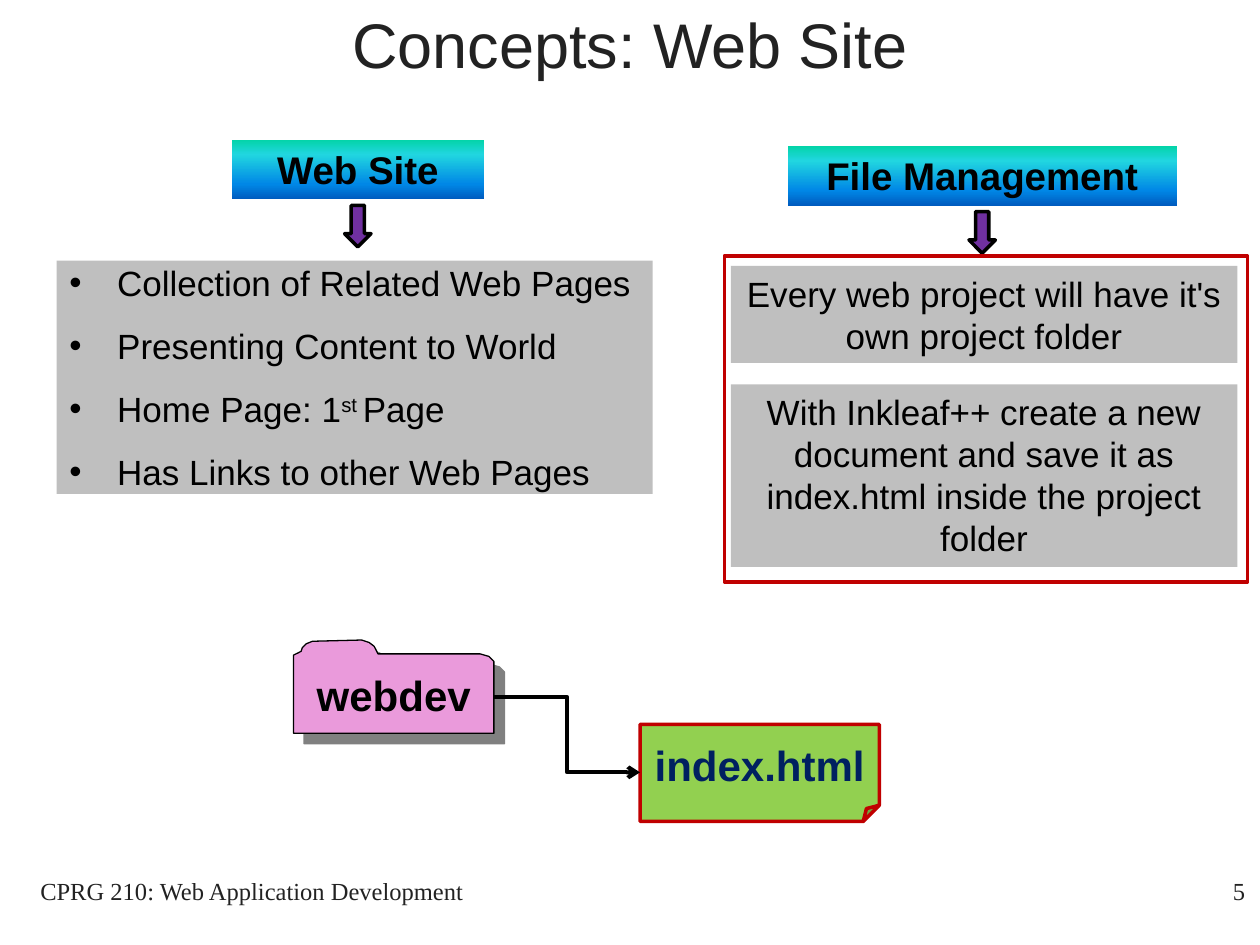
from lxml import etree
from pptx import Presentation
from pptx.dml.color import RGBColor
from pptx.enum.shapes import MSO_CONNECTOR, MSO_SHAPE
from pptx.enum.text import MSO_ANCHOR, MSO_AUTO_SIZE, PP_ALIGN
from pptx.oxml.ns import qn
from pptx.util import Inches, Pt

RECT, DOWN_ARROW, FOLDED = MSO_SHAPE.RECTANGLE, MSO_SHAPE.DOWN_ARROW, MSO_SHAPE.FOLDED_CORNER
ELBOW = MSO_CONNECTOR.ELBOW
TOP, MIDDLE = MSO_ANCHOR.TOP, MSO_ANCHOR.MIDDLE
CENTER, LEFT, RIGHT = PP_ALIGN.CENTER, PP_ALIGN.LEFT, PP_ALIGN.RIGHT
FIT_SHAPE, NO_FIT = MSO_AUTO_SIZE.SHAPE_TO_FIT_TEXT, MSO_AUTO_SIZE.NONE

BLACK, INK, GREY, RED = "000000", "222222", "BFBFBF", "C00000"
HEADING_STOPS = [(0, "03D4A8"), (25, "21D6E0"), (75, "0087E6"), (100, "005CBF")]
FOLDER_OUTLINE = [
    (3.78, 5.19), (3, 5.19), (2.99, 5.17), (2.97, 5.13), (2.93, 5.1), (2.87, 5.08),
    (2.48, 5.09), (2.43, 5.11), (2.4, 5.14), (2.39, 5.17), (2.37, 5.18), (2.33, 5.2),
    (2.33, 5.82), (3.92, 5.82), (3.92, 5.25), (3.88, 5.21), (3.81, 5.19),
]


def rgb(value):
    return RGBColor.from_string(value)


def add_xml(parent, tag, **attributes):
    return etree.SubElement(parent, qn(tag), {key: str(value) for key, value in attributes.items()})


def set_all(target, values):
    for name, value in values.items():
        setattr(target, name, value)


class SlideBuilder:
    font = "Arial"
    line_width = 2

    def __init__(self, slide):
        self.slide = slide

    def place(self, shape, box):
        set_all(shape, dict(zip(("left", "top", "width", "height"), map(Inches, box))))

    def style_run(self, run, size, color=BLACK, bold=False, font=None):
        set_all(run.font, {"size": Pt(size), "bold": bold, "name": font or self.font})
        run.font.color.rgb = rgb(color)

    def set_text(self, shape, text, size, align=CENTER, anchor=TOP, fit=NO_FIT, after=0, **font):
        frame = shape.text_frame
        set_all(frame, {"word_wrap": True, "vertical_anchor": anchor, "auto_size": fit})
        paragraph = frame.paragraphs[0]
        set_all(paragraph, {"alignment": align, "space_after": Pt(after)})
        run = paragraph.add_run()
        run.text = text
        self.style_run(run, size, **font)

    def paint(self, shape, fill=None, line=None, width=None):
        shape.shadow.inherit = False
        if fill:
            shape.fill.solid()
            shape.fill.fore_color.rgb = rgb(fill)
        else:
            shape.fill.background()
        if line:
            shape.line.color.rgb = rgb(line)
            shape.line.width = Pt(width or self.line_width)
        else:
            shape.line.fill.background()

    def title(self, text, box):
        title = self.slide.shapes.title
        self.place(title, box)
        self.set_text(title, text, 36, anchor=MIDDLE, color=INK)

    def bullet_list(self, items, box):
        """Each item is a list of (text, is_superscript) pieces."""
        body = self.slide.placeholders[1]
        self.place(body, box)
        body.fill.solid()
        body.fill.fore_color.rgb = rgb(GREY)
        frame = body.text_frame
        set_all(frame, {"word_wrap": True, "vertical_anchor": MIDDLE, "auto_size": FIT_SHAPE})
        for index, pieces in enumerate(items):
            paragraph = frame.add_paragraph() if index else frame.paragraphs[0]
            set_all(paragraph, {"alignment": LEFT, "space_before": Pt(0), "space_after": Pt(12)})
            properties = paragraph._p.get_or_add_pPr()
            properties.set("marL", str(Inches(0.38)))
            properties.set("indent", str(-Inches(0.38)))
            add_xml(properties, "a:buFont", typeface=self.font)
            add_xml(properties, "a:buChar", char="•")
            for text, superscript in pieces:
                run = paragraph.add_run()
                run.text = text
                self.style_run(run, 20)
                if superscript:
                    run.font._element.set("baseline", "30000")

    def label(self, text, box, align):
        label = self.slide.shapes.add_textbox(*map(Inches, box))
        self.set_text(label, text, 14, align, color=INK, font="Times New Roman")

    def shape(self, kind, box, **paint):
        shape = self.slide.shapes.add_shape(kind, *map(Inches, box))
        self.paint(shape, **paint)
        return shape

    def heading(self, text, left, top, width):
        """Gradient bar with a block arrow centred below it."""
        bar = self.shape(RECT, (left, top, width, 0.47))
        gradient = etree.Element(qn("a:gradFill"), rotWithShape="1")
        stops = add_xml(gradient, "a:gsLst")
        for position, color in HEADING_STOPS:
            stop = add_xml(stops, "a:gs", pos=position * 1000)
            add_xml(stop, "a:srgbClr", val=color)
        add_xml(gradient, "a:lin", ang=90 * 60000, scaled=0)
        properties = bar._element.spPr
        properties.replace(properties.find(qn("a:noFill")), gradient)
        self.set_text(bar, text, 22, fit=FIT_SHAPE, bold=True)
        arrow_left = left + (width - 0.21) / 2
        self.shape(DOWN_ARROW, (arrow_left, top + 0.52, 0.21, 0.33), fill="7030A0", line=BLACK)

    def note(self, text, box):
        note = self.shape(RECT, box, fill=GREY)
        self.set_text(note, text, 20, fit=FIT_SHAPE, after=12)

    def folder(self, text):
        start, *rest = [(Inches(x), Inches(y)) for x, y in FOLDER_OUTLINE]
        builder = self.slide.shapes.build_freeform(*start)
        builder.add_line_segments(rest, close=True)
        folder = builder.convert_to_shape()
        self.paint(folder, fill="EA9ADB", line=BLACK, width=0.75)
        effects = folder._element.spPr.find(qn("a:effectLst"))
        shadow = add_xml(effects, "a:outerShdw", dist=Pt(8.5), dir=45 * 60000, algn="tl", rotWithShape=0)
        add_xml(shadow, "a:srgbClr", val="808080")
        self.set_text(folder, text, 24, anchor=MIDDLE, bold=True)
        folder.text_frame.margin_top = Inches(0.17)

    def elbow_arrow(self, start, end):
        arrow = self.slide.shapes.add_connector(ELBOW, *map(Inches, (*start, *end)))
        arrow.line.color.rgb = rgb(BLACK)
        arrow.line.width = Pt(2.25)
        add_xml(arrow.line._get_or_add_ln(), "a:tailEnd", type="arrow")
        add_xml(arrow._element.spPr, "a:effectLst")


def main():
    deck = Presentation()
    deck.slide_width, deck.slide_height = Inches(10), Inches(7.5)
    page = SlideBuilder(deck.slides.add_slide(deck.slide_layouts[1]))

    page.title("Concepts: Web Site", (0, -0.28, 10, 1.25))
    page.heading("Web Site", 1.84, 1.11, 2)
    page.bullet_list([
        [("Collection of Related Web Pages", False)],
        [("Presenting Content to World", False)],
        [("Home Page: 1", False), ("st ", True), ("Page", False)],
        [("Has Links to other Web Pages", False)],
    ], (0.45, 2.02, 4.73, 1.95))

    page.heading("File Management", 6.25, 1.16, 3.09)
    page.note("Every web project will have it's own project folder", (5.8, 2.11, 4.02, 0.77))
    page.note("With Inkleaf++ create a new document and save it as index.html inside the project folder",
              (5.8, 3.05, 4.02, 1.45))
    page.shape(RECT, (5.75, 2.03, 4.15, 2.59), line=RED)

    page.folder("webdev")
    index_file = page.shape(FOLDED, (5.08, 5.75, 1.9, 0.77), fill="92D050", line=RED)
    page.set_text(index_file, "index.html", 24, anchor=MIDDLE, color="002060", bold=True)
    page.elbow_arrow((3.92, 5.53), (5.08, 6.13))

    page.label("CPRG 210: Web Application Development", (0, 6.9, 4, 0.5), CENTER)
    page.label("5", (7.9, 6.9, 2.08, 0.5), RIGHT)
    deck.save("out.pptx")


if __name__ == "__main__":
    main()
